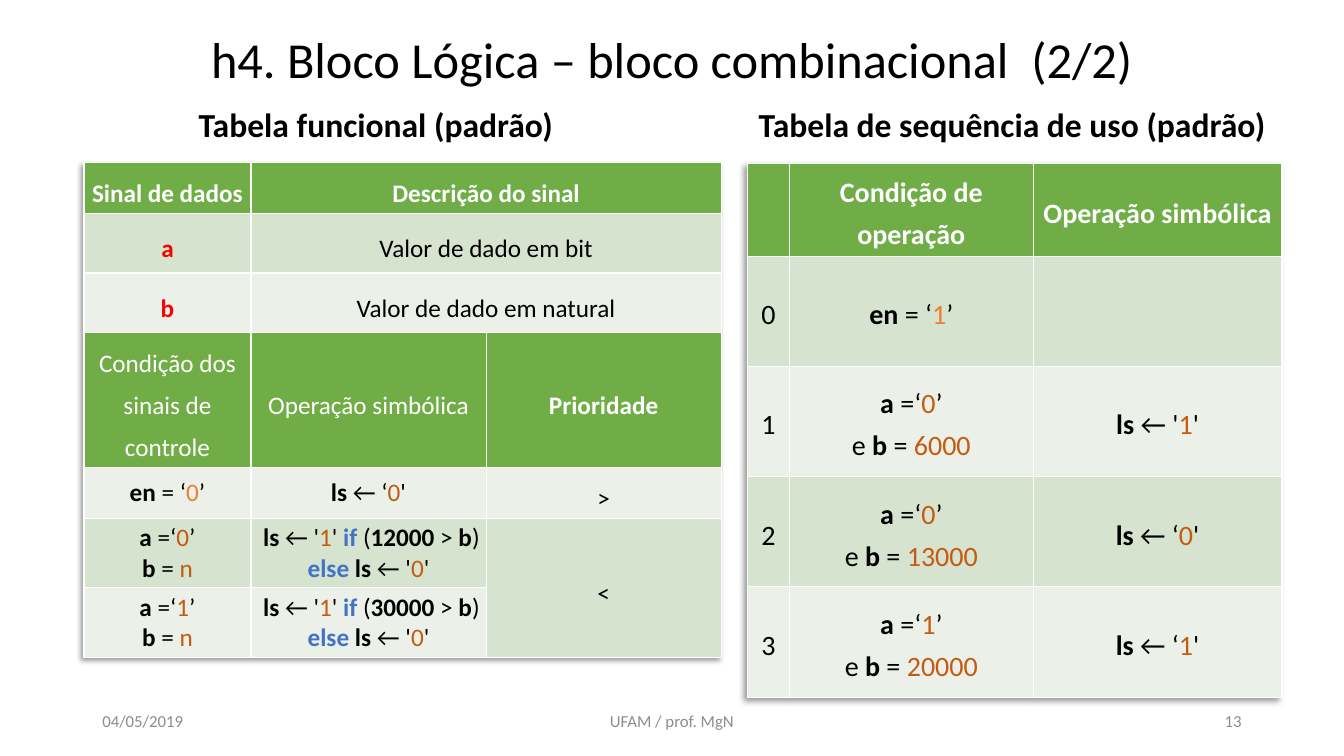
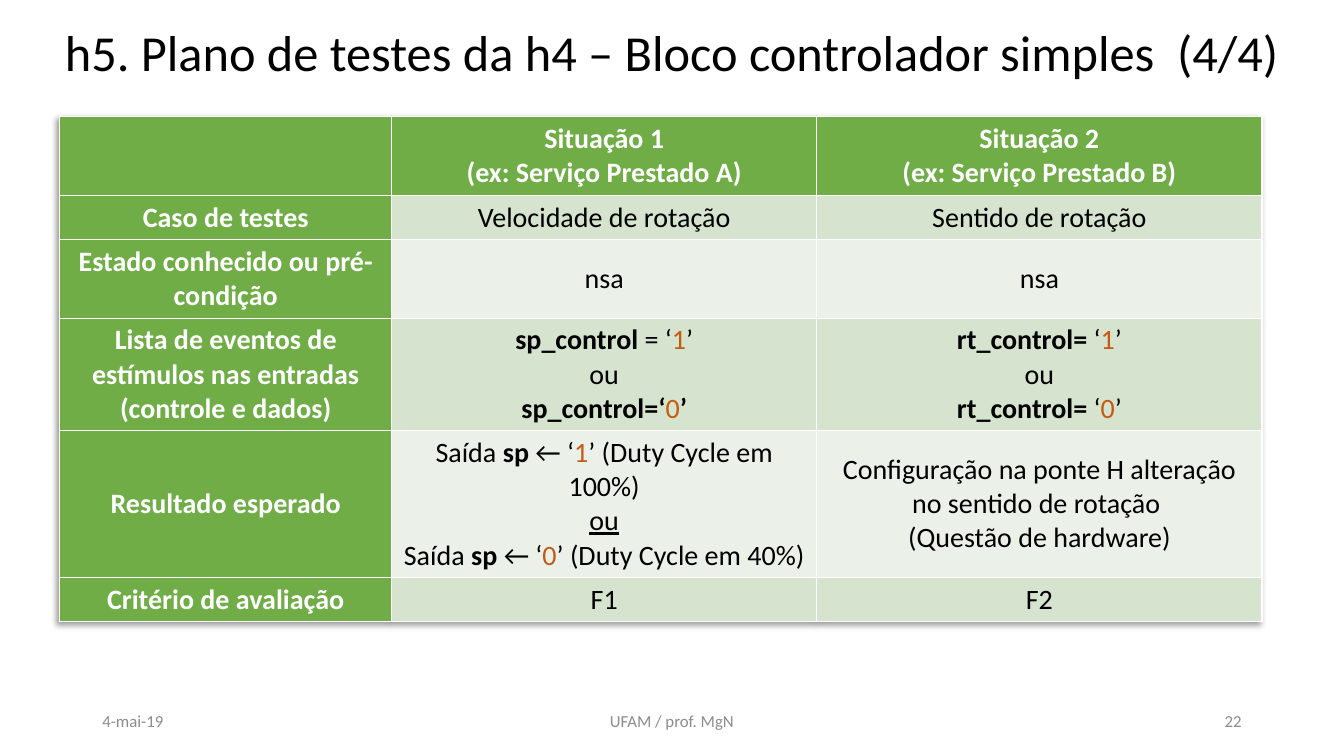
from lxml.etree import fromstring
from pptx import Presentation
from pptx.dml.color import RGBColor as Rgb
from pptx.enum.text import MSO_ANCHOR as Anchor, PP_ALIGN as Align
from pptx.util import Emu, Pt

SCALE = 9525
FONT = "Calibri"
HUES = {
    "black": "000000", "white": "FFFFFF", "gray": "8C8C8C",
    "green": "70AD47", "mid": "D5E3CF", "light": "EBF1E9",
    "rust": "C55A11", "amber": "ED7D31", "blue": "4472C4", "red": "FF0000",
}
TINTS = {"~": "rust", "@": "amber", "^": "blue", "!": "red"}
MARKS = "*#" + "".join(TINTS)
SHADE = (
    '<a:effectLst xmlns:a="http://schemas.openxmlformats.org/drawingml/2006/main">'
    '<a:outerShdw blurRad="50800" dist="38100" dir="8100000" algn="tr" rotWithShape="0">'
    '<a:srgbClr val="000000"><a:alpha val="40000"/></a:srgbClr>'
    '</a:outerShdw></a:effectLst>'
)


def px(size):
    return Emu(size * SCALE)


def hue(name):
    return Rgb.from_string(HUES[name])


def pieces(text):
    marks, part = set(), ""
    for char in text:
        if char in MARKS:
            if part:
                yield part, marks
            marks, part = marks ^ {char}, ""
        else:
            part += char
    if part:
        yield part, marks


class Deck:
    def __init__(self):
        self.show = Presentation()
        self.show.slide_width, self.show.slide_height = px(1280), px(720)

    def words(self, frame, text, size, color="black", bold=False,
              align=Align.CENTER, lead=None):
        frame.word_wrap = True
        for num, line in enumerate(text.split("\n")):
            para = frame.add_paragraph() if num else frame.paragraphs[0]
            para.alignment = align
            para.line_spacing = lead
            font = para.font
            font.name, font.size, font.bold = FONT, Pt(size), bold
            font.color.rgb = hue(color)
            for part, marks in pieces(line):
                run = para.add_run()
                run.text = part
                if "*" in marks:
                    run.font.bold = not bold
                if "#" in marks:
                    run.font.underline = True
                for mark in marks & set(TINTS):
                    run.font.color.rgb = hue(TINTS[mark])

    def label(self, spot, text, size, anchor=Anchor.MIDDLE, **style):
        frame = self.slide.shapes.add_textbox(*map(px, spot)).text_frame
        frame.vertical_anchor = anchor
        self.words(frame, text, size, **style)

    def page(self, title, high, date, num):
        self.slide = self.show.slides.add_slide(self.show.slide_layouts[6])
        self.label((0, 0, 1280, high), title, 36, lead=0.9)
        foot = ((88, 288, date, Align.LEFT),
                (424, 432, "UFAM / prof. MgN", Align.CENTER),
                (904, 288, num, Align.RIGHT))
        for left, wide, text, align in foot:
            self.label((left, 667, wide, 38), text, 12, color="gray", align=align)

    def head(self, left, wide, text):
        self.label((left, 94, wide, 48), text, 24, anchor=Anchor.TOP, bold=True)

    def table(self, left, top, cols, rows, texts, size, head,
              lead=None, tight=lambda row, col: False, pad=None, spans=()):
        frame = self.slide.shapes.add_table(
            len(rows), len(cols), px(left), px(top), px(sum(cols)), px(sum(rows)))
        grid = frame.table
        grid.horz_banding = False
        frame._element.graphic.graphicData.tbl.tblPr.insert(0, fromstring(SHADE))
        for col, wide in zip(grid.columns, cols):
            col.width = px(wide)
        for row, high in zip(grid.rows, rows):
            row.height = px(high)
        for start, end in spans:
            grid.cell(*start).merge(grid.cell(*end))
        for row, line in enumerate(texts):
            for col, text in enumerate(line):
                cell = grid.cell(row, col)
                main_cell = row == 0 or head(row, col)
                band = "mid" if row % 2 else "light"
                cell.fill.solid()
                cell.fill.fore_color.rgb = hue("green" if main_cell else band)
                cell.vertical_anchor = Anchor.MIDDLE
                if pad:
                    cell.margin_left = cell.margin_right = px(pad)
                    cell.margin_top = cell.margin_bottom = px(pad)
                if text:
                    self.words(cell.text_frame, text, size,
                               color="white" if main_cell else "black", bold=main_cell,
                               lead=None if tight(row, col) else lead)


def rule(limit):
    return f" *ls *← '~1~' *^if^* (*{limit}* > *b*) *^else ^ls *← '~0~'"


def case(bit):
    return f"*a* =‘~{bit}~’\n*b* = ~n~"


def use(bit, value):
    return f"*a* =‘~{bit}~’\ne *b* = ~{value}~"


def logic(deck):
    deck.page("h4. Bloco Lógica – bloco combinacional  (2/2)", 118, "04/05/2019", "13")
    deck.head(60, 596, "Tabela funcional (padrão)")
    deck.table(
        80, 155, (159, 224, 224), (46, 57, 57, 128, 49, 66, 66),
        (("Sinal de dados", "Descrição do sinal", ""),
         ("*!a!*", "Valor de dado em bit", ""),
         ("*!b!*", "Valor de dado em natural", ""),
         ("*Condição dos sinais de controle*", "*Operação simbólica*", "Prioridade"),
         ("*en *= ‘@0@’", "*ls *← ‘~0~'", ">"),
         (case(0), rule(12000), "<"),
         (case(1), rule(30000), "")),
        18, lambda row, col: row == 3, lead=Pt(30),
        tight=lambda row, col: row > 3 and col < 2, pad=4,
        spans=[((row, 1), (row, 2)) for row in range(3)] + [((5, 2), (6, 2))])
    deck.head(708, 512, "Tabela de sequência de uso (padrão)")
    deck.table(
        712, 156, (40, 232, 237), (87, 105, 105, 105, 105),
        (("", "Condição de operação", "Operação simbólica"),
         ("0", "*en *= ‘@1@’", ""),
         ("1", use(0, 6000), "*ls *← '~1~'"),
         ("2", use(0, 13000), "*ls *← ‘~0~'"),
         ("3", use(1, 20000), "*ls *← ‘~1~'")),
        20, lambda row, col: False, lead=Pt(30), pad=4)


def tests(deck):
    deck.page("h5. Plano de testes da h4 – Bloco controlador simples  (4/4)",
              106, "4-mai-19", "22")
    deck.table(
        57, 111, (316, 405, 424), (75, 42, 75, 107, 140, 42),
        (("", "Situação 1\n(ex: Serviço Prestado A)",
          "Situação 2\n(ex: Serviço Prestado B)"),
         ("Caso de testes", "Velocidade de rotação", "Sentido de rotação"),
         ("Estado conhecido ou pré-condição", "nsa", "nsa"),
         ("Lista de eventos de estímulos nas entradas\n(controle e dados)",
          "*sp_control *= ‘~1~’\nou\n*sp_control=‘*~0~*’*",
          "*rt_control= *‘~1~’\nou\n*rt_control= *‘~0~’"),
         ("Resultado esperado",
          "Saída *sp *← ‘~1~’ (Duty Cycle em 100%)\n#ou#\n"
          "Saída *sp *← ‘~0~’ (Duty Cycle em 40%)",
          "Configuração na ponte H alteração no sentido de rotação \n"
          "(Questão de hardware)"),
         ("Critério de avaliação", "F1", "F2")),
        20, lambda row, col: col == 0)


def main():
    deck = Deck()
    logic(deck)
    tests(deck)
    deck.show.save("out.pptx")


if __name__ == "__main__":
    main()
